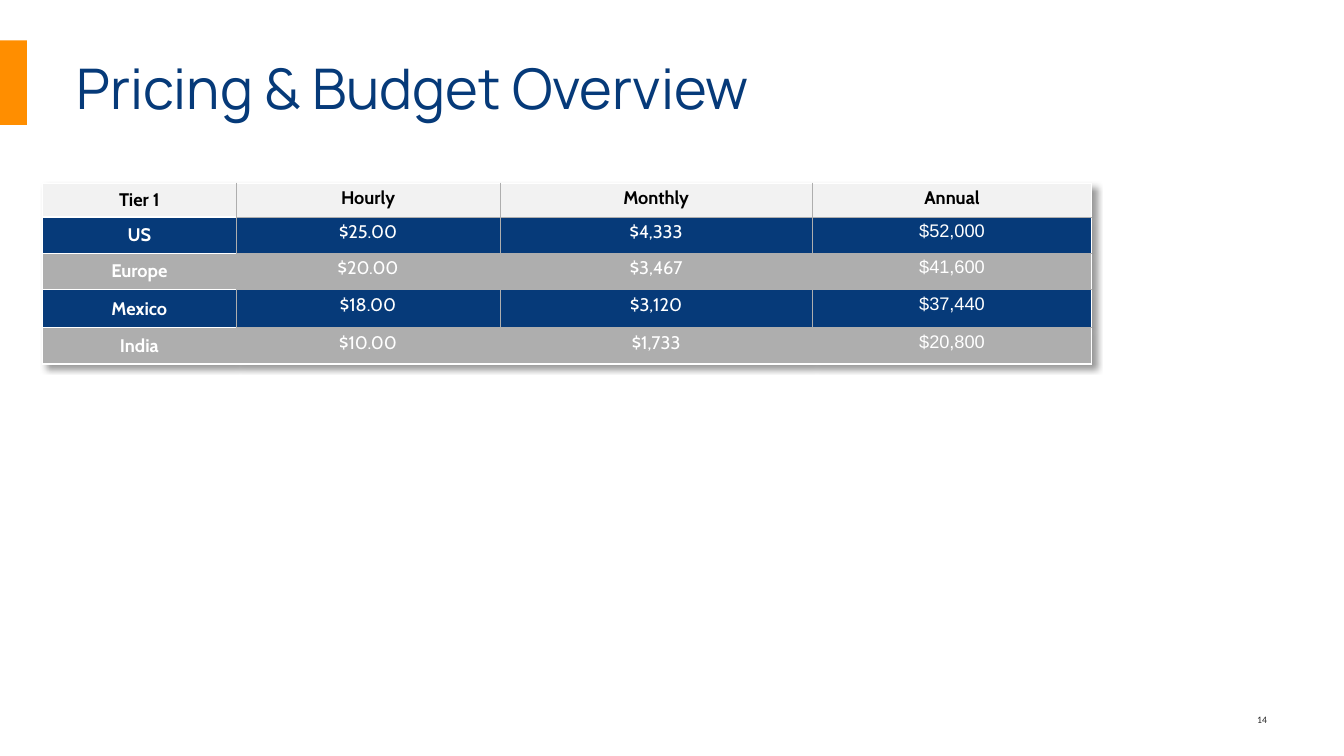
import pptx
import pptx.util
import pptx.oxml
import pptx.oxml.ns
import pptx.dml.color
import pptx.enum.shapes
import pptx.enum.text

Cm, Pt = pptx.util.Cm, pptx.util.Pt
ALIGN = pptx.enum.text.PP_ALIGN
ANCHOR = pptx.enum.text.MSO_ANCHOR
NS = pptx.oxml.ns.nsdecls("a")

COLORS = {
    "navy": "063A79", "orange": "FF8E00", "gray": "AEAEAE", "light": "F2F2F2",
    "white": "FFFFFF", "black": "000000", "number": "262626",
}
PRICES = [
    ["Tier 1", "Hourly", "Monthly", "Annual"],
    ["US", "$25.00", "$4,333", "$52,000"],
    ["Europe", "$20.00", "$3,467", "$41,600"],
    ["Mexico", "$18.00", "$3,120", "$37,440"],
    ["India", "$10.00", "$1,733", "$20,800"],
]
COL_WIDTHS = [4.88, 6.65, 7.87, 7.04]
ROW_HEIGHTS = [0.85, 0.91, 0.92, 0.96, 0.91]


def rgb(name):
    return pptx.dml.color.RGBColor.from_string(COLORS[name])


def write(tf, text, font, size, color, align, bold=False):
    tf.text = text
    p = tf.paragraphs[0]
    p.alignment = align
    r = p.runs[0]
    r.font.name, r.font.size, r.font.bold = font, Pt(size), bold
    r.font.color.rgb = rgb(color)
    return p


def add_title(s, text):
    title = s.shapes.title
    title.left, title.top = Cm(1.68), Cm(1.07)
    title.width, title.height = Cm(29.13), Cm(2.13)
    tf = title.text_frame
    p = write(tf, text, "Manrope", 40, "navy", ALIGN.LEFT)
    p.line_spacing = 0.9
    tf.vertical_anchor = ANCHOR.BOTTOM
    tf.auto_size = pptx.enum.text.MSO_AUTO_SIZE.NONE


def add_accent(s):
    sp = s.shapes.add_shape(pptx.enum.shapes.MSO_SHAPE.RECTANGLE,
                            Cm(0), Cm(1.02), Cm(0.68), Cm(2.13))
    sp.shadow.inherit = False
    sp.fill.solid()
    sp.fill.fore_color.rgb = rgb("orange")
    sp.line.fill.background()


def add_page_number(s, text):
    box = s.shapes.add_textbox(Cm(24.56), Cm(17.93), Cm(7.62), Cm(0.43))
    tf = box.text_frame
    tf.word_wrap = True
    tf.vertical_anchor = ANCHOR.MIDDLE
    tf.margin_top = tf.margin_bottom = 0
    write(tf, text, "Calibri", 7, "number", ALIGN.RIGHT)


def add_borders(cell, sides):
    for side in sides:
        cell._tc.get_or_add_tcPr().append(pptx.oxml.parse_xml(
            f'<a:ln{side} {NS} w="6350"><a:solidFill>'
            f'<a:srgbClr val="{COLORS["gray"]}"/></a:solidFill></a:ln{side}>'))


def inner_sides(row, col):
    # Rules run between columns, and between rows right of the labels
    last_row, last_col = len(PRICES) - 1, len(COL_WIDTHS) - 1
    tests = {"L": col > 0, "R": col < last_col,
             "T": col > 0 and row > 0, "B": col > 0 and row < last_row}
    return [side for side, shown in tests.items() if shown]


def format_cell(cell, row, col, text):
    header, label = row == 0, col == 0
    annual = col == len(COL_WIDTHS) - 1
    add_borders(cell, inner_sides(row, col))
    cell.fill.solid()
    cell.fill.fore_color.rgb = rgb("light" if header else "navy" if row % 2 else "gray")
    cell.margin_left = cell.margin_right = Cm(0.2)
    cell.margin_top = cell.margin_bottom = Cm(0.1)
    cell.vertical_anchor = ANCHOR.MIDDLE if label else ANCHOR.TOP
    write(cell.text_frame, text, "Arial" if annual and not header else "Cabin", 13,
          "black" if header else "white", ALIGN.CENTER, header or label)


def add_price_table(s):
    frame = s.shapes.add_table(len(PRICES), len(COL_WIDTHS), Cm(1.07), Cm(4.62),
                               Cm(sum(COL_WIDTHS)), Cm(sum(ROW_HEIGHTS)))
    table = frame.table
    table.horz_banding = False
    for column, width in zip(table.columns, COL_WIDTHS):
        column.width = Cm(width)
    for row, height in zip(table.rows, ROW_HEIGHTS):
        row.height = Cm(height)
    for i, values in enumerate(PRICES):
        for j, text in enumerate(values):
            format_cell(table.cell(i, j), i, j, text)
    # Soft shadow towards the lower right
    table._tbl.tblPr.insert(0, pptx.oxml.parse_xml(
        f'<a:effectLst {NS}><a:outerShdw blurRad="50800" dist="50800" dir="2700000" '
        f'algn="tl" rotWithShape="0"><a:srgbClr val="{COLORS["black"]}">'
        '<a:alpha val="40000"/></a:srgbClr></a:outerShdw></a:effectLst>'))


def main():
    prs = pptx.Presentation()
    prs.slide_width, prs.slide_height = Cm(33.87), Cm(19.05)
    s = prs.slides.add_slide(prs.slide_layouts[5])
    add_page_number(s, "14")
    add_price_table(s)
    add_title(s, "Pricing & Budget Overview")
    add_accent(s)
    prs.save("out.pptx")


if __name__ == "__main__":
    main()
